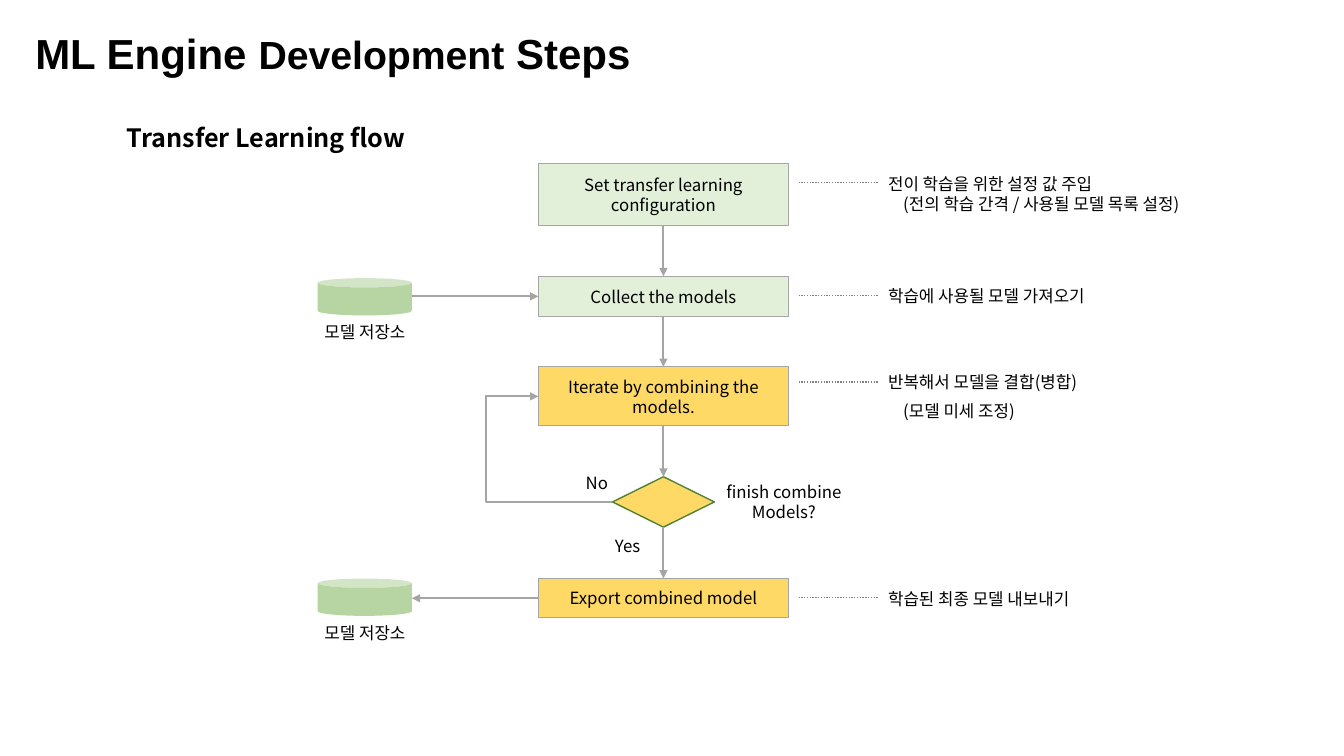
from lxml.etree import SubElement
from pptx import Presentation
from pptx.dml.color import RGBColor
from pptx.enum.dml import MSO_LINE as Dash
from pptx.enum.shapes import MSO_CONNECTOR as Link, MSO_SHAPE as Preset
from pptx.enum.text import MSO_ANCHOR as Anchor, MSO_AUTO_SIZE as Fit, PP_ALIGN as Align
from pptx.oxml.ns import qn
from pptx.util import Inches, Pt

BLACK = RGBColor(0x00, 0x00, 0x00)
PALE_GREEN = RGBColor(0xE2, 0xF0, 0xD9)
STORE_GREEN = RGBColor(0x70, 0xAD, 0x47)
DARK_GREEN = RGBColor(0x53, 0x80, 0x35)
YELLOW = RGBColor(0xFF, 0xD9, 0x66)
GREY = RGBColor(0xA5, 0xA5, 0xA5)
DOT_GREY = RGBColor(0x80, 0x80, 0x80)

TITLE_FONT, FLOW_FONT = "Arial", "Noto Sans CJK KR"
CELL = Inches(0.1)  # square grid: 133.3 columns by 75 rows

STEP_LEFT, STEP_WIDTH = 53.4, 24.8
AXIS = STEP_LEFT + STEP_WIDTH / 2
STORE_LEFT, STORE_WIDTH, STORE_HEIGHT = 31.5, 9.35, 3.7
NOTE_LEFT, NOTE_LINE_LEFT = 87.1, 79.2
TOP, LEFT, BOTTOM = 0, 1, 2  # connection sites

# text, top row, rows high, fill
STEPS = [
    ("Set transfer learning configuration", 16.2, 6.2, PALE_GREEN),
    ("Collect the models", 27.4, 4, PALE_GREEN),
    ("Iterate by combining the models.", 36.4, 5.85, YELLOW),
    ("Export combined model", 57.4, 3.9, YELLOW),
]
# text, top row, row of the dotted line
NOTES = [
    ("전이 학습을 위한 설정 값 주입", 16.7, 18.1),
    ("학습에 사용될 모델 가져오기", 27.9, 29.3),
    ("반복해서 모델을 결합(병합)", 36.4, 37.9),
    ("학습된 최종 모델 내보내기", 57.9, 59.3),
]
# text, left, top, width, height, alignment
LABELS = [
    ("(전의 학습 간격 / 사용될 모델 목록 설정)", 88.6, 18.7, 40.2, 3, Align.LEFT),
    ("(모델 미세 조정)", 88.6, 39.3, 40.2, 3, Align.LEFT),
    ("finish combine\nModels?", 67.7, 47.3, 20.1, 5, Align.CENTER),
    ("No", 57.1, 46.4, 5.1, 3, Align.LEFT),
    ("Yes", 60, 52.7, 5.1, 3, Align.LEFT),
]


def cells(*counts):
    """Turn grid counts into lengths."""
    return [round(count * CELL) for count in counts]


def apply(target, formats):
    """Set every attribute named in a dict of format values."""
    for name, value in formats.items():
        setattr(target, name, value)


def style_run(run, size, font=FLOW_FONT, bold=False):
    """Format a run, with the same font for Korean."""
    apply(run.font, {"size": Pt(size), "name": font, "bold": bold})
    run.font.color.rgb = BLACK
    SubElement(run._r.get_or_add_rPr(), qn("a:ea"), typeface=font)


def write(frame, text, align, size=12, bold=False):
    """Fill a text frame, one paragraph for each line of the text."""
    frame.word_wrap = True
    frame.text = text
    for paragraph in frame.paragraphs:
        apply(paragraph, {"alignment": align, "line_spacing": Pt(size * 1.2)})
        for run in paragraph.runs:
            style_run(run, size, bold=bold)


def add_label(shapes, text, left, top, width, height, align, **look):
    """Add a free text label."""
    frame = shapes.add_textbox(*cells(left, top, width, height)).text_frame
    write(frame, text, align, **look)
    frame.auto_size = Fit.SHAPE_TO_FIT_TEXT


def add_node(slide, preset, box, fill, outline=None, weight=0.75):
    """Add a filled flowchart node."""
    node = slide.shapes.add_shape(preset, *cells(*box))
    node.shadow.inherit = False
    node.fill.solid()
    node.fill.fore_color.rgb = fill
    if outline is None:
        node.line.fill.background()
    else:
        node.line.color.rgb = outline
        node.line.width = Pt(weight)
    return node


def add_step(slide, text, top, height, fill):
    """Add a process box with its text."""
    step = add_node(slide, Preset.RECTANGLE, (STEP_LEFT, top, STEP_WIDTH, height), fill, GREY)
    side = cells(1.9)[0]
    apply(step.text_frame, {"margin_left": side, "margin_right": side,
                            "margin_top": 0, "margin_bottom": 0,
                            "vertical_anchor": Anchor.MIDDLE})
    write(step.text_frame, text, Align.CENTER)
    return step


def add_store(slide, top):
    """Add a half-transparent model store and its caption."""
    store = add_node(slide, Preset.CAN, (STORE_LEFT, top, STORE_WIDTH, STORE_HEIGHT), STORE_GREEN)
    tint = store.element.spPr.find(qn("a:solidFill")).find(qn("a:srgbClr"))
    SubElement(tint, qn("a:alpha"), val="50000")
    add_label(slide.shapes, "모델 저장소", 30.4, top + 3.85, 11.6, 3, Align.CENTER)


def add_line(shapes, ends, color, weight, kind=Link.STRAIGHT, dash=None, arrow=False):
    """Add a line without shadow, dashed or with an arrowhead if asked."""
    line = shapes.add_connector(kind, *cells(*ends))
    line.line.color.rgb = color
    apply(line.line, {"width": Pt(weight), "dash_style": dash})
    if arrow:
        SubElement(line.line._get_or_add_ln(), qn("a:tailEnd"), type="triangle")
    SubElement(line.element.spPr, qn("a:effectLst"))
    return line


def add_arrow(slide, ends, kind=Link.STRAIGHT, source=None, target=None):
    """Add a flow arrow, glued to (node, site) pairs where given."""
    arrow = add_line(slide.shapes, ends, GREY, 1.5, kind, arrow=True)
    if source:
        arrow.begin_connect(*source)
    if target:
        arrow.end_connect(*target)
    return arrow


def add_note(slide, text, top, row):
    """Add a grouped note with the dotted line leading to it."""
    group = slide.shapes.add_group_shape()
    add_label(group.shapes, text, NOTE_LEFT, top, 33.8, 3, Align.LEFT)
    add_line(group.shapes, (NOTE_LINE_LEFT, row, NOTE_LEFT, row), DOT_GREY, 1, dash=Dash.ROUND_DOT)


def set_title(slide):
    """Place and write the slide title."""
    title = slide.shapes.title
    apply(title, dict(zip(("left", "top", "width", "height"), cells(2.5, 1.8, 115, 7.5))))
    apply(title.text_frame, {"vertical_anchor": Anchor.MIDDLE, "auto_size": Fit.NONE})
    paragraph = title.text_frame.paragraphs[0]
    apply(paragraph, {"alignment": Align.LEFT, "line_spacing": 0.9})
    for text, size in (("ML Engine ", 30), ("Development", 28), (" Steps", 30)):
        run = paragraph.add_run()
        run.text = text
        style_run(run, size, TITLE_FONT, True)


def main():
    """Build the slide with the transfer learning flow."""
    deck = Presentation()
    apply(deck, {"slide_width": Inches(13.33), "slide_height": Inches(7.5)})
    slide = deck.slides.add_slide(deck.slide_layouts[5])
    set_title(slide)
    add_label(slide.shapes, "Transfer Learning flow", 8.3, 11.6, 36.2, 4,
              Align.CENTER, size=18, bold=True)

    configure, collect, iterate, export = [add_step(slide, *step) for step in STEPS]
    finished = add_node(slide, Preset.FLOWCHART_DECISION, (AXIS - 5.05, 47.3, 10.1, 5),
                        YELLOW, DARK_GREEN, 1)
    for top in (27.6, 57.4):
        add_store(slide, top)

    chain = [configure, collect, iterate, finished, export]
    for upper, lower in zip(chain, chain[1:]):
        add_arrow(slide, (AXIS, 0, AXIS, 1), source=(upper, BOTTOM), target=(lower, TOP))
    store_right = STORE_LEFT + STORE_WIDTH
    add_arrow(slide, (store_right, 29.4, STEP_LEFT, 29.4), target=(collect, LEFT))
    add_arrow(slide, (STEP_LEFT, 59.35, store_right, 59.35), source=(export, LEFT))
    repeat = add_arrow(slide, (60.8, 49.8, STEP_LEFT, 39.4), Link.ELBOW,
                       (finished, LEFT), (iterate, LEFT))
    bend = repeat.element.spPr.find(qn("a:prstGeom")).find(qn("a:avLst"))
    SubElement(bend, qn("a:gd"), name="adj1", fmla="val 170400")

    for note in NOTES:
        add_note(slide, *note)
    for label in LABELS:
        add_label(slide.shapes, *label)
    deck.save("out.pptx")


main()
